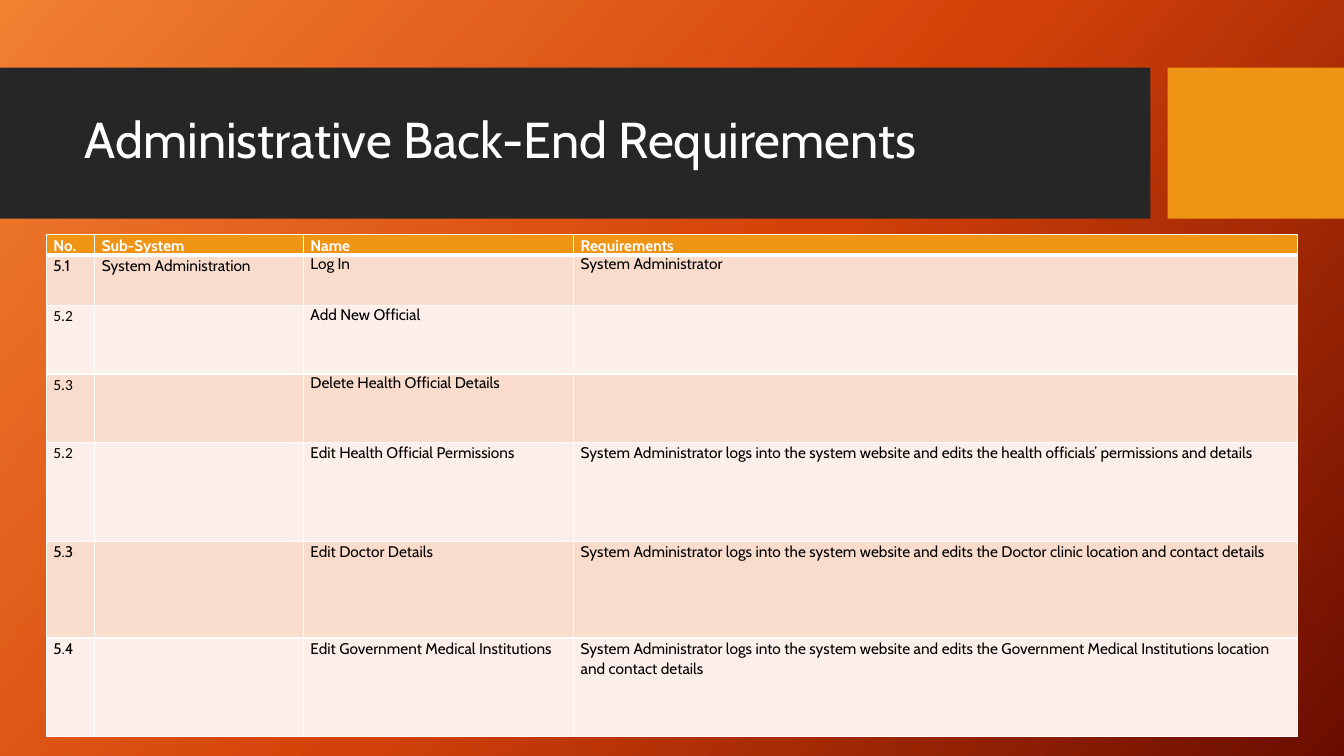
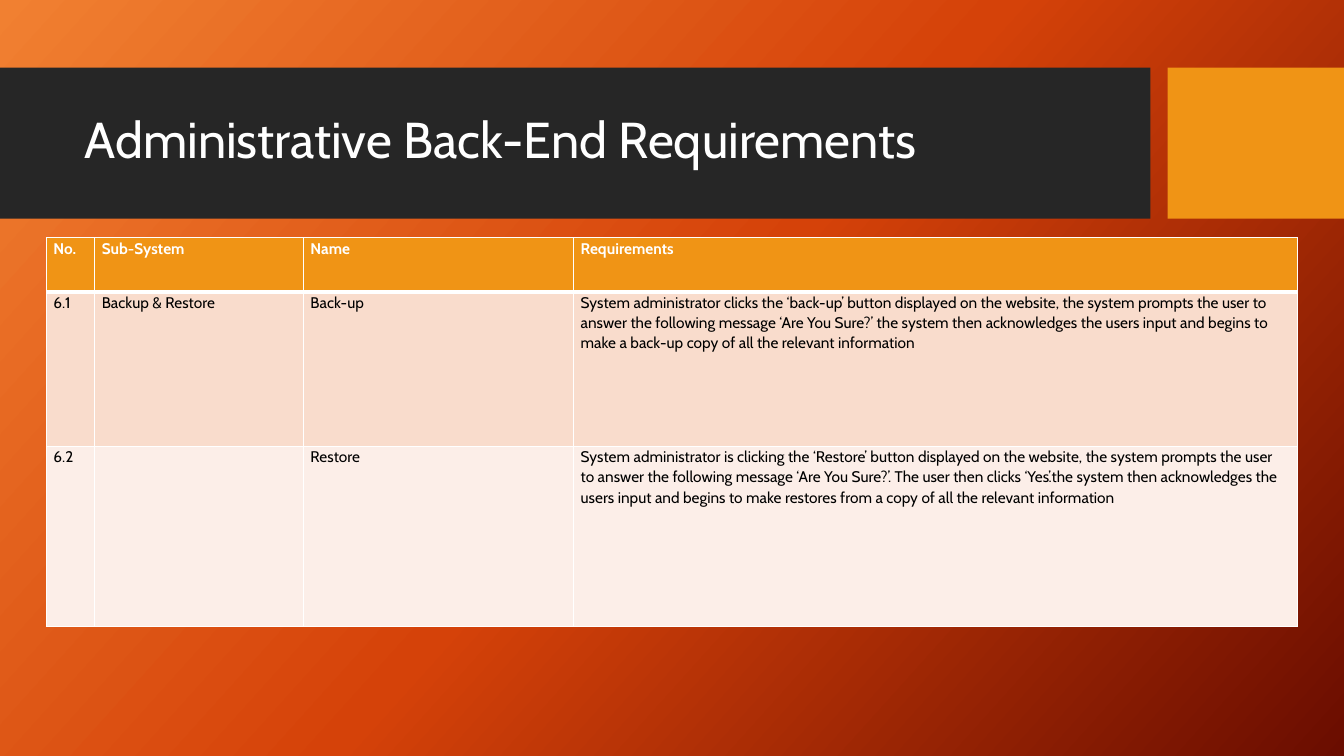
from copy import deepcopy
from dataclasses import dataclass

from lxml.etree import SubElement
from pptx import Presentation
from pptx.dml.color import RGBColor
from pptx.enum.shapes import MSO_SHAPE as Shape
from pptx.enum.text import MSO_ANCHOR as Anchor, PP_ALIGN as Align
from pptx.oxml.ns import qn
from pptx.util import Inches, Pt

WHITE = RGBColor(0xFF, 0xFF, 0xFF)
BLACK = RGBColor(0x00, 0x00, 0x00)
CHARCOAL = RGBColor(0x26, 0x26, 0x26)
AMBER = RGBColor(0xF0, 0x94, 0x15)
ROW_TINTS = (RGBColor(0xF9, 0xDC, 0xCC), RGBColor(0xFC, 0xEE, 0xE8))
GRADIENT = (
    (0, RGBColor(0xF1, 0x80, 0x31)),
    (0.5, RGBColor(0xD5, 0x42, 0x09)),
    (1, RGBColor(0x6A, 0x0D, 0x00)),
)
GRADIENT_ANGLE = 360 - 42

FONT = "Cabin"
NUMBER_FONT = "Calibri"
LOOSE = 1.07
TITLE = "Administrative Back-End Requirements"
HEADINGS = ("No.", "Sub-System", "Name", "Requirements")

WIDTH, HEIGHT = 13.33, 7.5
BAND_TOP, BAND_HEIGHT = 0.67, 1.5
BAND_WIDTH, ACCENT_WIDTH = 11.41, 1.75
TABLE_LEFT = 0.46
COLUMNS = (0.48, 2.07, 2.68, 7.18)
CELL_MARGIN = 0.07


@dataclass
class Row:
    """One requirement with its row height and text settings."""

    height: float
    number: str
    subsystem: str
    name: str
    requirement: str
    number_font: str = FONT
    spacing: float = LOOSE


ADMINISTRATION = (
    Row(0.5, "5.1", "System Administration", "Log In", "System Administrator", spacing=1),
    Row(0.68, "5.2", "", "Add New Official", "", NUMBER_FONT, 1),
    Row(0.68, "5.3", "", "Delete Health Official Details", "", NUMBER_FONT, 1),
    Row(0.98, "5.2", "", "Edit Health Official Permissions",
        "System Administrator logs into the system website and edits the "
        "health officials’ permissions and details", NUMBER_FONT),
    Row(0.96, "5.3", "", "Edit Doctor Details",
        "System Administrator logs into the system website and edits the "
        "Doctor clinic location and contact details"),
    Row(0.98, "5.4", "", "Edit Government Medical Institutions",
        "System Administrator logs into the system website and edits the "
        "Government Medical Institutions location and contact details"),
)
BACKUP = (
    Row(1.53, "6.1", "Backup & Restore", "Back-up",
        "System administrator clicks the ‘back-up’ button displayed on the website, "
        "the system prompts the user to answer the following message ‘Are You Sure?’ "
        "the system then acknowledges the users input and begins to make a back-up "
        "copy of all the relevant information"),
    Row(1.79, "6.2", "", "Restore",
        "System administrator is clicking the ‘Restore’ button displayed on the website, "
        "the system prompts the user to answer the following message ‘Are You Sure?’. "
        "The user then clicks ‘Yes’.the system then acknowledges the users input and "
        "begins to make restores from a copy of all the relevant information"),
)


def set_background(layout):
    """Give the layout its three-colour gradient."""
    fill = layout.background.fill
    fill.gradient()
    stop_list = layout.element.find(".//" + qn("a:gsLst"))
    stop_list.append(deepcopy(stop_list[-1]))
    for stop, (position, color) in zip(fill.gradient_stops, GRADIENT):
        stop.position = position
        stop.color.rgb = color
    fill.gradient_angle = GRADIENT_ANGLE


def add_band(slide, left, width, color):
    """Add a title band behind the other shapes."""
    shape = slide.shapes.add_shape(
        Shape.RECTANGLE, *map(Inches, (left, BAND_TOP, width, BAND_HEIGHT)))
    shape.shadow.inherit = False
    shape.fill.solid()
    shape.fill.fore_color.rgb = color
    shape.line.fill.background()
    slide.shapes.element.insert(2, shape.element)


def set_title(slide, text):
    """Place and format the title placeholder."""
    title = slide.shapes.title
    title.left, title.top, title.width, title.height = map(
        Inches, (0.74, 0.82, 10.51, 1.18))
    title.text_frame.text = text
    title.text_frame.vertical_anchor = Anchor.MIDDLE
    paragraph = title.text_frame.paragraphs[0]
    paragraph.alignment = Align.LEFT
    paragraph.line_spacing = 0.9
    paragraph.font.name = FONT
    paragraph.font.size = Pt(36)
    paragraph.font.color.rgb = WHITE


def set_borders(cell, top=1, bottom=1):
    """Draw white borders with the given top and bottom widths in points."""
    properties = cell._tc.get_or_add_tcPr()
    widths = {"a:lnL": 1, "a:lnR": 1, "a:lnT": top, "a:lnB": bottom}
    for index, (tag, width) in enumerate(widths.items()):
        line = SubElement(properties, qn(tag), w=str(Pt(width)))
        color = SubElement(SubElement(line, qn("a:solidFill")), qn("a:srgbClr"))
        color.set("val", str(WHITE))
        properties.insert(index, line)


def fill_cell(cell, text, fill, color=BLACK, bold=False, font=FONT, spacing=LOOSE):
    """Write one table cell and set its fill and font."""
    cell.margin_left = cell.margin_right = Inches(CELL_MARGIN)
    cell.margin_top = cell.margin_bottom = 0
    cell.fill.solid()
    cell.fill.fore_color.rgb = fill
    cell.text = text
    paragraph = cell.text_frame.paragraphs[0]
    paragraph.line_spacing = spacing
    paragraph.font.name = font
    paragraph.font.size = Pt(11)
    paragraph.font.bold = bold
    paragraph.font.color.rgb = color


def add_requirements(slide, top, header_height, rows):
    """Add the requirements table."""
    heights = [header_height] + [row.height for row in rows]
    table = slide.shapes.add_table(
        len(heights), len(COLUMNS),
        *map(Inches, (TABLE_LEFT, top, sum(COLUMNS), sum(heights)))).table
    for column, width in zip(table.columns, COLUMNS):
        column.width = Inches(width)
    for table_row, height in zip(table.rows, heights):
        table_row.height = Inches(height)
    for column, heading in enumerate(HEADINGS):
        cell = table.cell(0, column)
        fill_cell(cell, heading, AMBER, WHITE, bold=True)
        set_borders(cell, bottom=3)
    for index, row in enumerate(rows):
        contents = (
            (row.number, row.number_font, LOOSE),
            (row.subsystem, FONT, LOOSE),
            (row.name, FONT, row.spacing),
            (row.requirement, FONT, row.spacing),
        )
        for column, (text, font, spacing) in enumerate(contents):
            cell = table.cell(index + 1, column)
            fill_cell(cell, text, ROW_TINTS[index % 2], font=font, spacing=spacing)
            set_borders(cell, top=1 if index else 3)


def add_requirements_slide(presentation, layout, top, header_height, rows):
    """Add a slide with title bands and a requirements table."""
    slide = presentation.slides.add_slide(layout)
    add_band(slide, WIDTH - ACCENT_WIDTH, ACCENT_WIDTH, AMBER)
    add_band(slide, 0, BAND_WIDTH, CHARCOAL)
    set_title(slide, TITLE)
    add_requirements(slide, top, header_height, rows)


def main():
    """Build and save the presentation."""
    presentation = Presentation()
    presentation.slide_width = Inches(WIDTH)
    presentation.slide_height = Inches(HEIGHT)
    layout = presentation.slide_layouts[5]
    set_background(layout)
    add_requirements_slide(presentation, layout, 2.33, 0.2, ADMINISTRATION)
    add_requirements_slide(presentation, layout, 2.36, 0.54, BACKUP)
    presentation.save("out.pptx")


if __name__ == "__main__":
    main()
